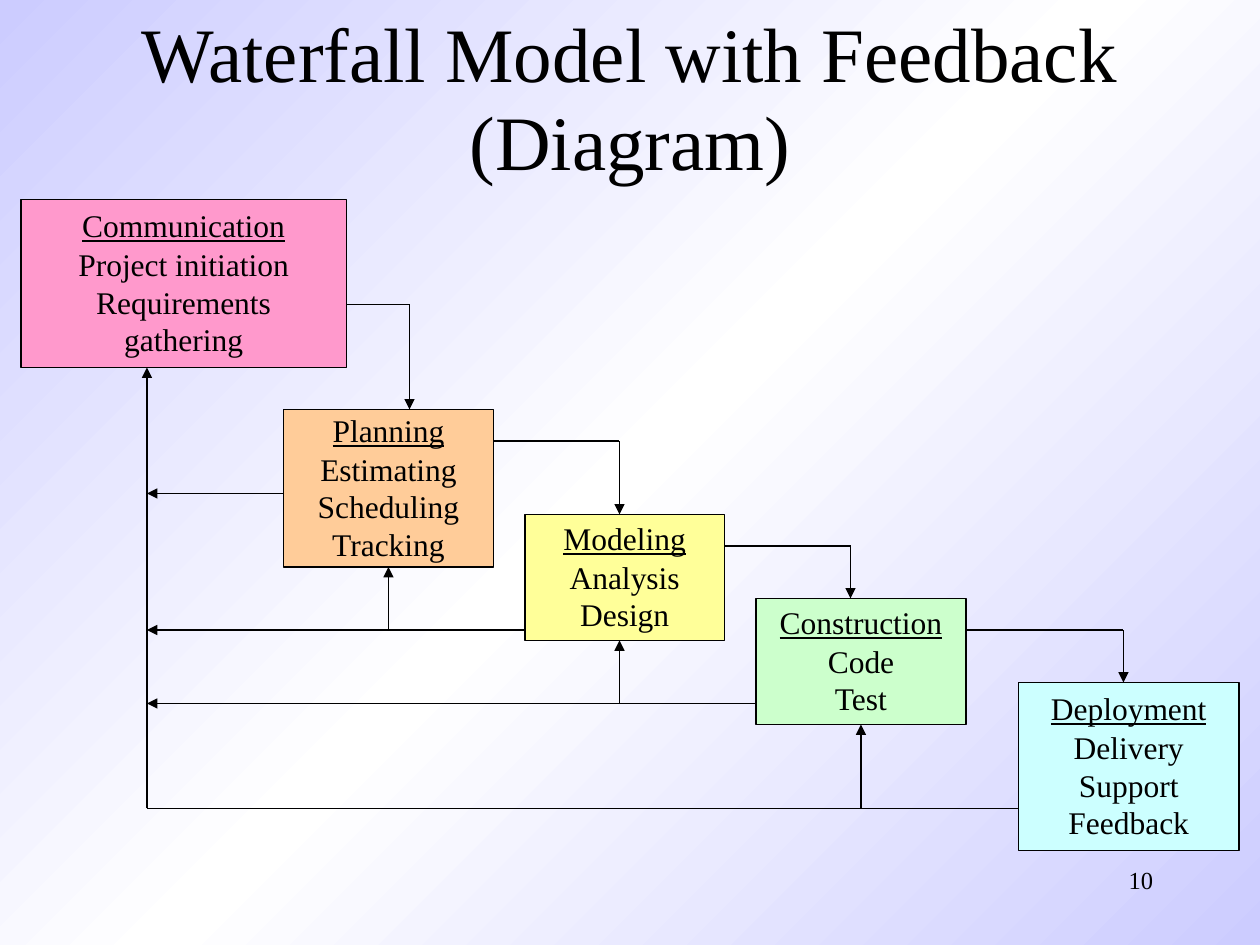
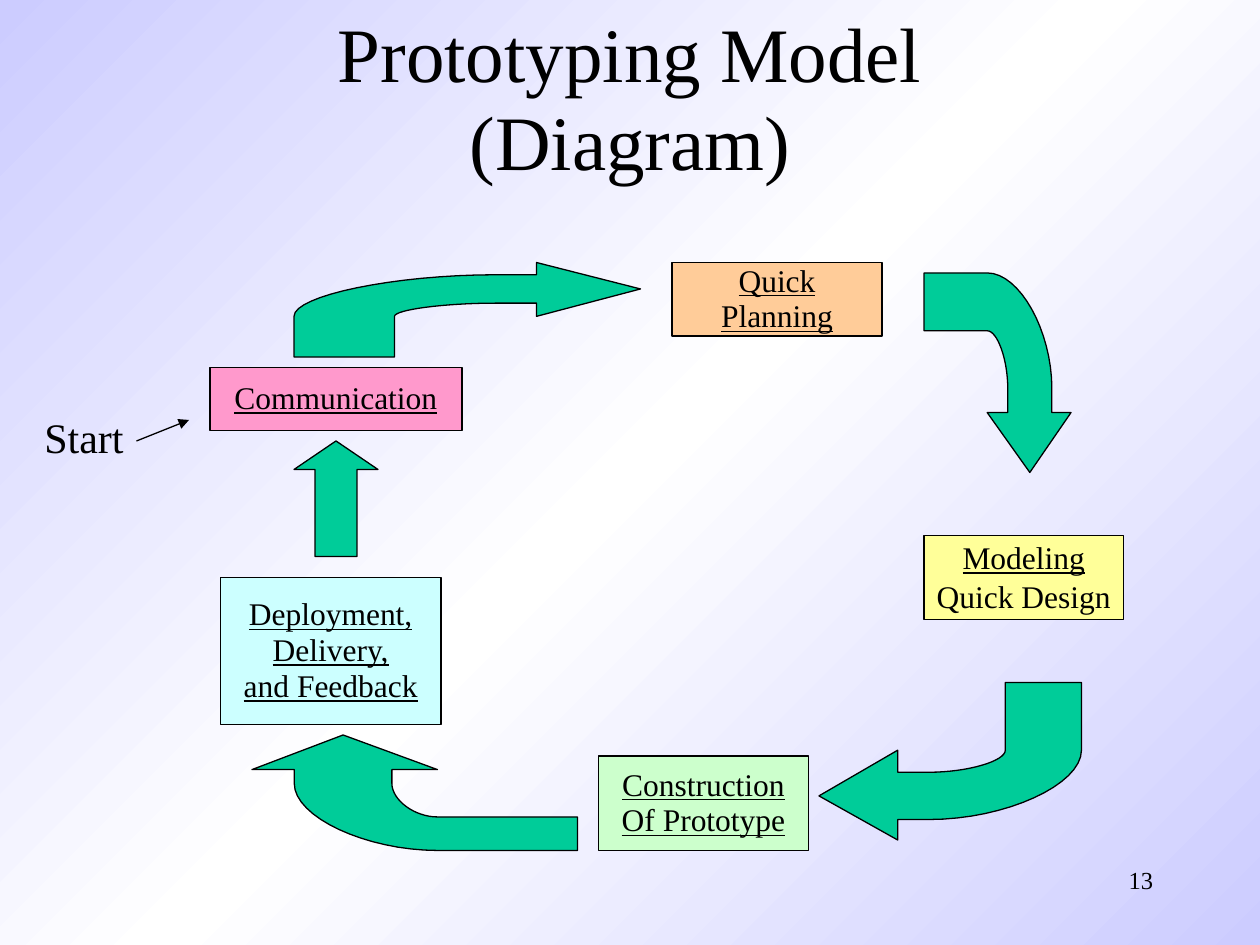
from copy import deepcopy

from lxml import etree
from pptx import Presentation
from pptx.dml.color import RGBColor
from pptx.enum.shapes import MSO_CONNECTOR, MSO_SHAPE
from pptx.enum.text import MSO_ANCHOR, PP_ALIGN
from pptx.oxml.ns import qn
from pptx.util import Pt

STRAIGHT = MSO_CONNECTOR.STRAIGHT
RECTANGLE, UP_ARROW = MSO_SHAPE.RECTANGLE, MSO_SHAPE.UP_ARROW
CENTER, RIGHT = PP_ALIGN.CENTER, PP_ALIGN.RIGHT
TOP, MIDDLE = MSO_ANCHOR.TOP, MSO_ANCHOR.MIDDLE
BOTTOM_SIDE = 2

FONT = "Times New Roman"
BLACK = RGBColor(0, 0, 0)
WHITE = RGBColor(0xFF, 0xFF, 0xFF)
LAVENDER = RGBColor(0xCC, 0xCC, 0xFF)
PINK = RGBColor(0xFF, 0x99, 0xCC)
ORANGE = RGBColor(0xFF, 0xCC, 0x99)
YELLOW = RGBColor(0xFF, 0xFF, 0x99)
MINT = RGBColor(0xCC, 0xFF, 0xCC)
AQUA = RGBColor(0xCC, 0xFF, 0xFF)
GREEN = RGBColor(0x00, 0xCC, 0x99)
LINE_WIDTH = 0.75

# Turns (along, across) of an arrow that points right into unit x, y.
TURNS = {
    "right": lambda along, across: (along, across),
    "down": lambda along, across: (1 - across, along),
    "left": lambda along, across: (1 - along, 1 - across),
    "up": lambda along, across: (across, 1 - along),
}


def set_background(page):
    """Fill the page with a diagonal lavender, white, lavender gradient."""
    fill = page.background.fill
    fill.gradient()
    fill.gradient_angle = 135
    stop_list = page._element.find(".//" + qn("a:gsLst"))
    stop_list.append(deepcopy(stop_list[0]))
    colours = (LAVENDER, WHITE, LAVENDER)
    for stop, position, colour in zip(fill.gradient_stops, (0, 0.5, 1), colours):
        stop.position = position
        stop.color.rgb = colour


def write_text(shape, lines, size, underlined=0, align=CENTER, anchor=MIDDLE, wrap=True):
    """Write one paragraph per line; the first `underlined` ones get a rule."""
    frame = shape.text_frame
    frame.word_wrap = wrap
    frame.vertical_anchor = anchor
    for index, line in enumerate(lines):
        para = frame.add_paragraph() if index else frame.paragraphs[0]
        para.text = line
        para.alignment = align
        para.line_spacing = 1.0 if index >= max(underlined, 1) else 0.95
        style = {"name": FONT, "size": Pt(size), "underline": index < underlined}
        for span in para.runs:
            for name, value in style.items():
                setattr(span.font, name, value)
            span.font.color.rgb = BLACK


def add_label(page, area, text, size, **layout):
    label = page.shapes.add_textbox(*map(Pt, area))
    write_text(label, [text], size, **layout)


def paint(shape, colour):
    shape.shadow.inherit = False
    shape.fill.solid()
    shape.fill.fore_color.rgb = colour
    shape.line.color.rgb = BLACK
    shape.line.width = Pt(LINE_WIDTH)


def add_stage(page, area, colour, lines, underlined=1):
    box = page.shapes.add_shape(RECTANGLE, *map(Pt, area))
    paint(box, colour)
    write_text(box, lines, 18, underlined)
    return box


def add_line(page, start, end, arrow=True):
    line = page.shapes.add_connector(STRAIGHT, *map(Pt, (*start, *end)))
    line.line.color.rgb = BLACK
    line.line.width = Pt(LINE_WIDTH)
    properties = line._element.spPr
    if arrow:
        etree.SubElement(properties.find(qn("a:ln")), qn("a:tailEnd"), type="triangle")
    etree.SubElement(properties, qn("a:effectLst"))
    return line


def bend(start, corner, end, steps=16):
    """Points of a cubic curve whose handles lie halfway to the corner."""
    handles = [[(p + c) / 2 for p, c in zip(point, corner)] for point in (start, end)]
    points = []
    for step in range(steps + 1):
        t = step / steps
        weights = ((1 - t) ** 3, 3 * t * (1 - t) ** 2, 3 * t * t * (1 - t), t ** 3)
        controls = (start, *handles, end)
        points.append(tuple(sum(w * c[axis] for w, c in zip(weights, controls))
                            for axis in (0, 1)))
    return points


BENT_ARROW = [
    (0, 1),
    *bend((0, 0.57), (0, 0.13), (0.58, 0.13)),
    (0.7, 0.13), (0.7, 0), (1, 0.28), (0.7, 0.57), (0.7, 0.43),
    *bend((0.58, 0.43), (0.29, 0.43), (0.29, 0.57)),
    (0.29, 1),
]


def add_bent_arrow(page, area, direction):
    left, top, width, height = area
    units = [TURNS[direction](*point) for point in BENT_ARROW]
    points = [(Pt(left + x * width), Pt(top + y * height)) for x, y in units]
    builder = page.shapes.build_freeform(*points[0])
    builder.add_line_segments(points[1:], close=True)
    paint(builder.convert_to_shape(), GREEN)


def add_page(deck, title, number):
    page = deck.slides.add_slide(deck.slide_layouts[6])
    set_background(page)
    add_label(page, (516, 492, 150, 23), number, 14, align=RIGHT, anchor=TOP)
    add_label(page, (54, 3.5, 612, 107.5), title + "\n(Diagram)", 44)
    return page


def build_waterfall(deck):
    page = add_page(deck, "Waterfall Model with Feedback", "10")
    stages = [
        ((12, 114, 186, 96), PINK,
         ["Communication", "Project initiation", "Requirements gathering"]),
        ((162, 234, 120, 90), ORANGE,
         ["Planning", "Estimating", "Scheduling", "Tracking"]),
        ((300, 294, 114, 72), YELLOW, ["Modeling", "Analysis", "Design"]),
        ((432, 342, 120, 72), MINT, ["Construction", "Code", "Test"]),
        ((582, 390, 126, 96), AQUA,
         ["Deployment", "Delivery", "Support", "Feedback"]),
    ]
    boxes = [add_stage(page, *stage) for stage in stages]
    areas = [area for area, *_ in stages]

    forward_corners = [(234, 174), (354, 252), (486, 312), (642, 360)]
    for area, below, (x, y) in zip(areas, areas[1:], forward_corners):
        add_line(page, (area[0] + area[2], y), (x, y), arrow=False)
        add_line(page, (x, y), (x, below[1]))

    spine = 84
    feedback_levels = [282, 360, 402, 462]
    lowest = feedback_levels[-1]
    for area, y in zip(areas[1:], feedback_levels):
        add_line(page, (area[0], y), (spine, y), arrow=y != lowest)
    add_line(page, (spine, lowest), (spine, areas[0][1] + areas[0][3]))

    branches = [(222, True), (354, False), (492, True)]
    for index, (x, centred) in enumerate(branches, start=1):
        _, top, _, height = areas[index]
        branch = add_line(page, (x, feedback_levels[index]), (x, top + height))
        if centred:
            branch.end_connect(boxes[index], BOTTOM_SIDE)


def build_prototyping(deck):
    page = add_page(deck, "Prototyping Model", "13")
    stages = [
        ((120, 210, 144, 36), PINK, ["Communication"]),
        ((384, 150, 120, 42), ORANGE, ["Quick Planning"]),
        ((528, 306, 114, 48), YELLOW, ["Modeling", "Quick Design"]),
        ((342, 432, 120, 54), MINT, ["Construction", "Of Prototype"], 2),
        ((126, 330, 126, 84), AQUA, ["Deployment,", "Delivery,", "and Feedback"], 3),
    ]
    for stage in stages:
        add_stage(page, *stage)

    bent_arrows = [
        ((168, 150, 198, 54), "right"),
        ((528, 156, 84, 114), "down"),
        ((468, 390, 150, 90), "left"),
        ((144, 420, 186, 66), "up"),
    ]
    for area, direction in bent_arrows:
        add_bent_arrow(page, area, direction)
    up_arrow = page.shapes.add_shape(UP_ARROW, *map(Pt, (168, 252, 48, 66)))
    up_arrow.adjustments[0] = 0.5
    up_arrow.adjustments[1] = 0.34
    paint(up_arrow, GREEN)

    add_label(page, (18, 234, 60, 34.5), "Start", 24, anchor=TOP, wrap=False)
    add_line(page, (78, 252), (108, 240))


def main():
    deck = Presentation()
    deck.slide_width, deck.slide_height = Pt(720), Pt(540)
    build_waterfall(deck)
    build_prototyping(deck)
    deck.save("out.pptx")


if __name__ == "__main__":
    main()
